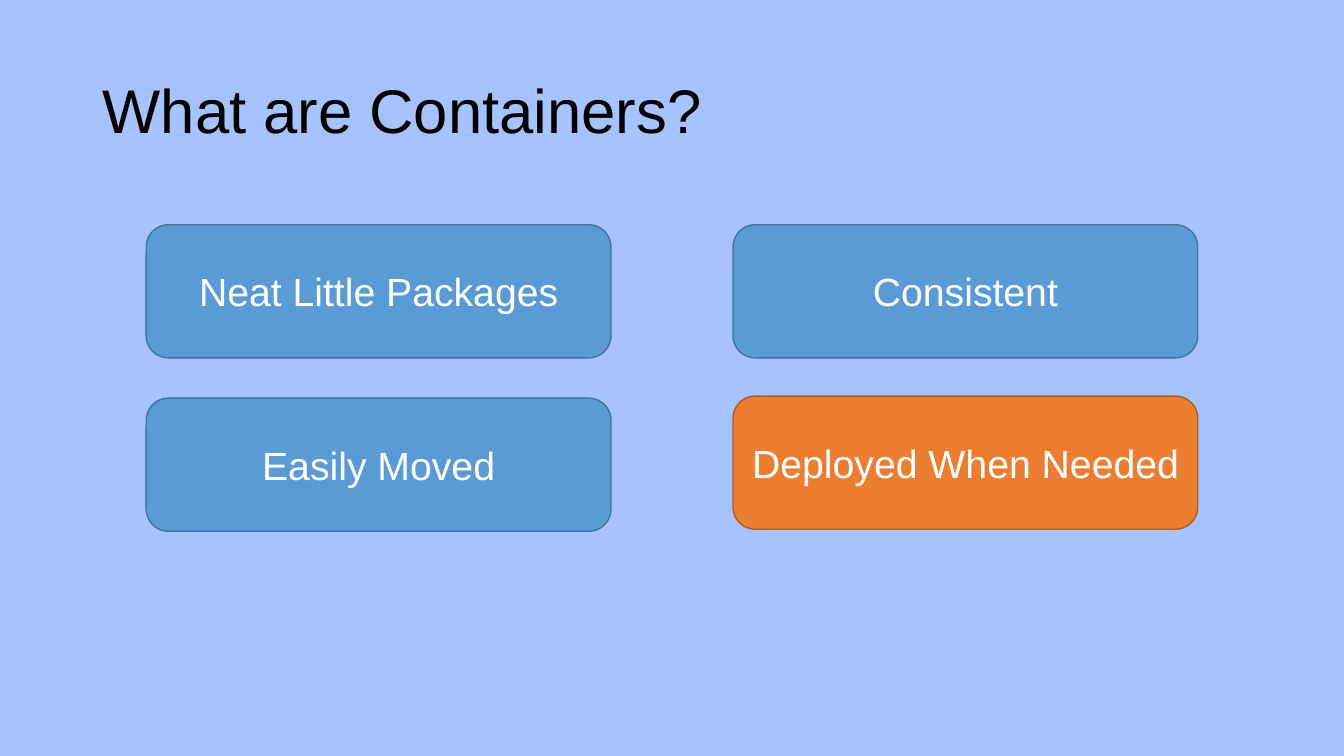
from pptx import Presentation
from pptx.dml.color import RGBColor
from pptx.enum import shapes, text
from pptx.util import Inches, Pt

BACKGROUND = RGBColor(0xA6, 0xC3, 0xFF)
BLACK = RGBColor(0x00, 0x00, 0x00)
WHITE = RGBColor(0xFF, 0xFF, 0xFF)
BLUE = RGBColor(0x5B, 0x9B, 0xD5)
BLUE_EDGE = RGBColor(0x43, 0x73, 0x9E)
ORANGE = RGBColor(0xED, 0x7D, 0x31)
ORANGE_EDGE = RGBColor(0xAF, 0x5C, 0x24)

CARD_WIDTH, CARD_HEIGHT = 4.61, 1.32
# Label, left and top offset within the grid, fill, edge
CARDS = [
    ("Neat Little Packages", 0, 0, BLUE, BLUE_EDGE),
    ("Consistent", 5.82, 0, BLUE, BLUE_EDGE),
    ("Easily Moved", 0, 1.72, BLUE, BLUE_EDGE),
    ("Deployed When Needed", 5.82, 1.7, ORANGE, ORANGE_EDGE),
]


def write(shape, words, size, color, align, line_spacing=1.0):
    frame = shape.text_frame
    frame.word_wrap = True
    frame.vertical_anchor = text.MSO_ANCHOR.MIDDLE
    para = frame.paragraphs[0]
    para.alignment = align
    para.line_spacing = line_spacing
    span = para.add_run()
    span.text = words
    span.font.name = "Arial"
    span.font.size = Pt(size)
    span.font.color.rgb = color


def add_title(page, left, top, width, height):
    box = page.shapes.add_textbox(
        Inches(left), Inches(top), Inches(width), Inches(height))
    write(box, "What are Containers?", 44, BLACK, text.PP_ALIGN.LEFT, 0.9)


def add_cards(page, left, top):
    for label, across, down, fill, edge in CARDS:
        card = page.shapes.add_shape(
            shapes.MSO_SHAPE.ROUNDED_RECTANGLE,
            Inches(left + across), Inches(top + down),
            Inches(CARD_WIDTH), Inches(CARD_HEIGHT))
        card.shadow.inherit = False
        card.fill.solid()
        card.fill.fore_color.rgb = fill
        card.line.color.rgb = edge
        card.line.width = Pt(1)
        write(card, label, 28, WHITE, text.PP_ALIGN.CENTER)


def main():
    deck = Presentation()
    deck.slide_width, deck.slide_height = Inches(13.33), Inches(7.5)
    page = deck.slides.add_slide(deck.slide_layouts[6])
    page.background.fill.solid()
    page.background.fill.fore_color.rgb = BACKGROUND
    add_title(page, 0.92, 0.4, 11.5, 1.45)
    add_cards(page, 1.45, 2.23)
    deck.save("out.pptx")


if __name__ == "__main__":
    main()
